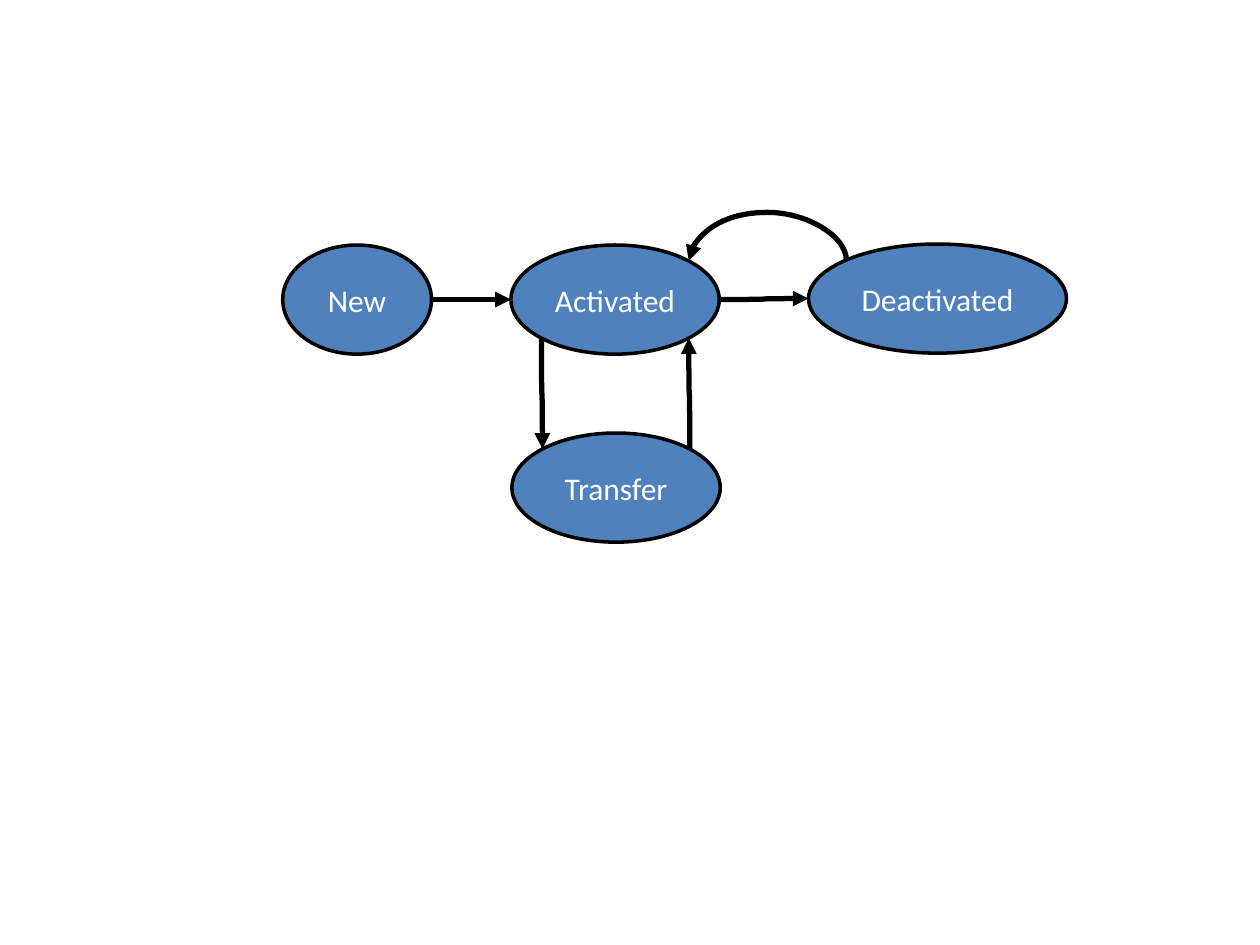
from dataclasses import dataclass
from math import cos, pi, sin

from pptx import Presentation
from pptx.dml.color import RGBColor
from pptx.enum.shapes import MSO_CONNECTOR as Connector, MSO_SHAPE as Shape
from pptx.enum.text import MSO_ANCHOR as Anchor, PP_ALIGN as Align
from pptx.oxml.ns import qn
from pptx.util import Cm, Pt
from lxml.etree import SubElement


@dataclass(frozen=True)
class Theme:
    fill: RGBColor = RGBColor(0x4F, 0x81, 0xBD)
    line: RGBColor = RGBColor(0, 0, 0)
    text: RGBColor = RGBColor(255, 255, 255)
    font: str = "Calibri"
    size: Pt = Pt(18)
    outline: Pt = Pt(2)
    arrow: Pt = Pt(3)


TOP_LEFT, LEFT, BOTTOM_LEFT, BOTTOM_RIGHT, RIGHT, TOP_RIGHT = 1, 2, 3, 5, 6, 7


class StateDiagram:
    """Draws states and the transitions between them on one slide."""

    def __init__(self, slide, theme):
        self.slide = slide
        self.theme = theme

    def apply(self, target, values):
        for name, value in values.items():
            setattr(target, name, value)

    def state(self, text, left, top, width, height=2.2):
        shape = self.slide.shapes.add_shape(
            Shape.OVAL, Cm(left), Cm(top), Cm(width), Cm(height))
        shape.shadow.inherit = False
        shape.fill.solid()
        shape.fill.fore_color.rgb = self.theme.fill
        shape.line.color.rgb = self.theme.line
        shape.line.width = self.theme.outline
        self.apply(shape.text_frame, {"text": text, "vertical_anchor": Anchor.MIDDLE})
        paragraph = shape.text_frame.paragraphs[0]
        paragraph.alignment = Align.CENTER
        font = paragraph.runs[0].font
        self.apply(font, {"name": self.theme.font, "size": self.theme.size})
        font.color.rgb = self.theme.text
        return shape

    def site(self, shape, index):
        angle = pi / 2 + index * pi / 4
        return (shape.left + shape.width / 2 * (1 + cos(angle)),
                shape.top + shape.height / 2 * (1 - sin(angle)))

    def transition(self, source, start, target, end, vertical=False, rise=None):
        (x1, y1), (x2, y2) = self.site(source, start), self.site(target, end)
        across, down = (y1 - y2, x2 - x1) if vertical else (x2 - x1, y2 - y1)
        x, y = (x1 + x2) / 2, (y1 + y2) / 2
        connector = self.slide.shapes.add_connector(
            Connector.CURVE, round(x - across / 2), round(y - down / 2),
            round(x + across / 2), round(y + down / 2))
        connector.line.color.rgb = self.theme.line
        connector.line.width = self.theme.arrow

        element = connector._element
        properties = element.spPr
        if vertical:
            properties.find(qn("a:xfrm")).set("rot", "16200000")
        if rise:
            guides = properties.find(qn("a:prstGeom")).get_or_add_avLst()
            ratio = round(-100000 * Cm(rise) / abs(across))
            SubElement(guides, qn("a:gd"), name="adj1", fmla=f"val {ratio}")
        SubElement(properties.find(qn("a:ln")), qn("a:tailEnd"), type="triangle")
        SubElement(properties, qn("a:effectLst"))
        links = element.nvCxnSpPr.cNvCxnSpPr
        for tag, shape, index in (("a:stCxn", source, start), ("a:endCxn", target, end)):
            SubElement(links, qn(tag), id=str(shape.shape_id), idx=str(index))


presentation = Presentation()
presentation.slide_width, presentation.slide_height = Cm(25.4), Cm(19.05)
slide = presentation.slides.add_slide(presentation.slide_layouts[6])
diagram = StateDiagram(slide, Theme())

new = diagram.state("New", 5.7, 4.94, 3)
activated = diagram.state("Activated", 10.3, 4.94, 4.2)
deactivated = diagram.state("Deactivated", 16.3, 4.92, 5.2)
transfer = diagram.state("Transfer", 10.32, 8.73, 4.2)

diagram.transition(new, RIGHT, activated, LEFT)
diagram.transition(activated, RIGHT, deactivated, LEFT)
diagram.transition(deactivated, TOP_LEFT, activated, TOP_RIGHT, vertical=True, rise=0.96)
diagram.transition(activated, BOTTOM_LEFT, transfer, TOP_LEFT, vertical=True)
diagram.transition(transfer, TOP_RIGHT, activated, BOTTOM_RIGHT, vertical=True)

presentation.save("out.pptx")
